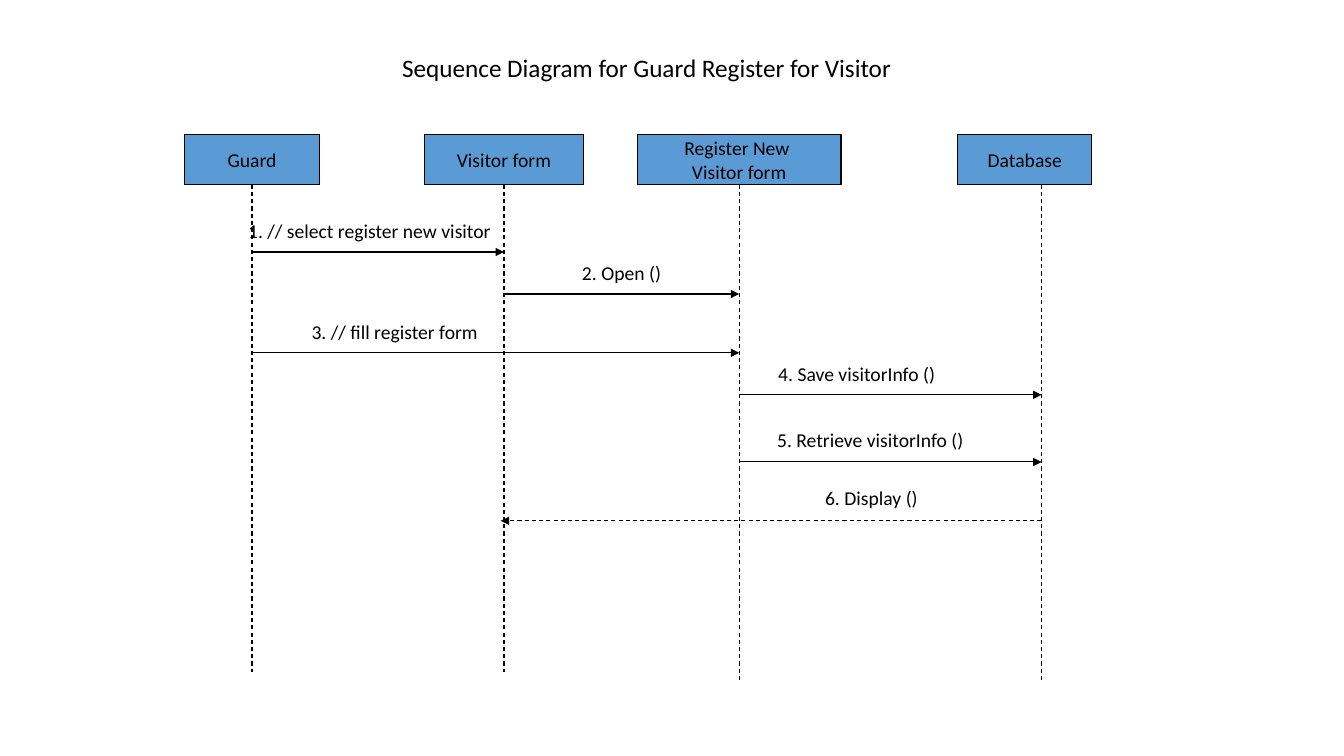
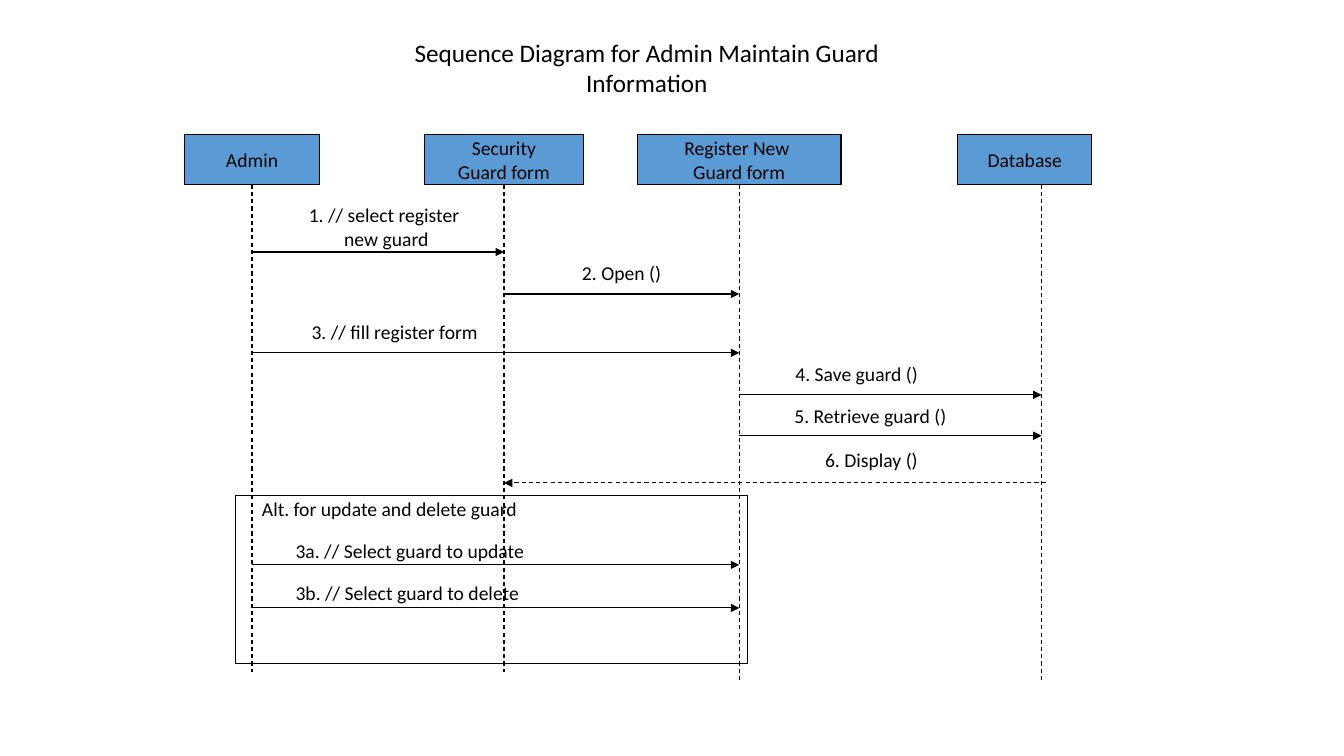
from dataclasses import dataclass

from lxml.etree import SubElement
from pptx import Presentation
from pptx.dml.color import RGBColor
from pptx.enum.dml import MSO_LINE
from pptx.enum.shapes import MSO_CONNECTOR, MSO_SHAPE
from pptx.enum.text import MSO_ANCHOR, MSO_AUTO_SIZE, PP_ALIGN
from pptx.oxml.ns import qn
from pptx.util import Emu, Pt

COLORS = {"paper": "FFFFFF", "ink": "000000", "head": "5B9BD5"}
FONT = "Calibri"
HEAD_TOP, HEAD_H, LABEL_W, LABEL_H = 128, 48, 192, 24
ACTOR, FORM, REGISTER, DATABASE = 240, 480, 704, 992


@dataclass(frozen=True)
class Lifeline:
    x: int
    left: int
    width: int
    bottom: int


@dataclass(frozen=True)
class Message:
    text: str
    start: int
    end: int
    y: int
    left: int
    top: int
    width: int = LABEL_W
    dashed: bool = False
    boxed: bool = True


@dataclass(frozen=True)
class Diagram:
    title: str
    heads: tuple[str, ...]
    messages: tuple[Message, ...]
    alternative: str = ""
    branches: tuple[Message, ...] = ()


LIFELINES = (
    Lifeline(ACTOR, 176, 128, 640),
    Lifeline(FORM, 404, 152, 640),
    Lifeline(REGISTER, 607, 194, 648),
    Lifeline(DATABASE, 912, 128, 648),
)
OPENING = (
    Message("2. Open ()", FORM, REGISTER, 280, 496, 248),
    Message("3. // fill register form", ACTOR, REGISTER, 336, 280, 304),
)
DIAGRAMS = (
    Diagram(
        "Sequence Diagram for Guard Register for Visitor",
        ("Guard", "Visitor form", "Register New \nVisitor form", "Database"),
        (
            Message("1. // select register new visitor", ACTOR, FORM, 240, 256, 208),
            *OPENING,
            Message("4. Save visitorInfo ()", REGISTER, DATABASE, 376, 720, 344),
            Message("5. Retrieve visitorInfo ()", REGISTER, DATABASE, 440, 733, 407),
            Message("6. Display ()", DATABASE, 477, 496, 734, 462, dashed=True),
        ),
    ),
    Diagram(
        "Sequence Diagram for Admin Maintain Guard Information",
        ("Admin", "Security\nGuard form", "Register New \nGuard form", "Database"),
        (
            Message("1. // select register \nnew guard", ACTOR, FORM, 240, 311, 204, 114),
            *OPENING,
            Message("4. Save guard ()", REGISTER, DATABASE, 376, 720, 344),
            Message("5. Retrieve guard ()", REGISTER, DATABASE, 415, 733, 384),
            Message("6. Display ()", 996, FORM, 460, 734, 426, dashed=True),
        ),
        "Alt. for update and delete guard",
        (
            Message("3a. // Select guard to update", ACTOR, REGISTER, 538, 272, 512, 304, boxed=False),
            Message("3b. // Select guard to delete", ACTOR, REGISTER, 579, 272, 552, 304, boxed=False),
        ),
    ),
)


def px(n: int) -> Emu:
    """Convert whole pixels to EMU."""
    return Emu(n * 9525)


def rgb(name: str) -> RGBColor:
    """Look up a named colour."""
    return RGBColor.from_string(COLORS[name])


def write(sp, text: str, *, size: int = 14, align=PP_ALIGN.CENTER, wrap: bool = False) -> None:
    """Set the text of a shape, one paragraph per line."""
    tf = sp.text_frame
    tf.text = text
    tf.word_wrap = wrap
    tf.auto_size = MSO_AUTO_SIZE.NONE
    tf.vertical_anchor = MSO_ANCHOR.MIDDLE
    for p in tf.paragraphs:
        p.alignment = align
        for r in p.runs:
            r.font.name = FONT
            r.font.size = Pt(size)
            r.font.color.rgb = rgb("ink")


def add_rect(s, x: int, y: int, w: int, h: int, fill: str = "", line: str = "ink"):
    """Draw a rectangle, hollow unless a fill is named."""
    sp = s.shapes.add_shape(MSO_SHAPE.RECTANGLE, px(x), px(y), px(w), px(h))
    sp.shadow.inherit = False
    if fill:
        sp.fill.solid()
        sp.fill.fore_color.rgb = rgb(fill)
    else:
        sp.fill.background()
    sp.line.color.rgb = rgb(line)
    sp.line.width = Pt(0.75)
    return sp


def add_line(s, x1: int, y1: int, x2: int, y2: int, dashed: bool = False, arrow: bool = False):
    """Draw a thin straight connector."""
    c = s.shapes.add_connector(MSO_CONNECTOR.STRAIGHT, px(x1), px(y1), px(x2), px(y2))
    c.line.color.rgb = rgb("ink")
    c.line.width = Pt(0.75)
    if dashed:
        c.line.dash_style = MSO_LINE.DASH
    props = c.element.spPr
    if arrow:
        SubElement(props.find(qn("a:ln")), qn("a:tailEnd"), type="triangle")
    SubElement(props, qn("a:effectLst"))
    return c


def add_note(s, text: str, x: int, y: int, w: int) -> None:
    """Place left-aligned text without a box."""
    sp = s.shapes.add_textbox(px(x), px(y), px(w), px(LABEL_H))
    write(sp, text, align=PP_ALIGN.LEFT, wrap=True)


def add_title(s, text: str) -> None:
    """Fill and place the title placeholder."""
    sp = s.shapes.title
    sp.left, sp.top, sp.width, sp.height = px(352), px(32), px(528), px(64)
    write(sp, text, size=18)


def add_lifeline(s, life: Lifeline, text: str) -> None:
    """Draw a head and the dashed line below it."""
    head = add_rect(s, life.left, HEAD_TOP, life.width, HEAD_H, "head")
    write(head, text)
    c = add_line(s, life.x, HEAD_TOP + HEAD_H, life.x, life.bottom, dashed=True)
    if life.left + life.width // 2 == life.x:
        c.begin_connect(head, 2)


def add_message(s, m: Message) -> None:
    """Draw a message arrow with its label."""
    add_line(s, m.start, m.y, m.end, m.y, m.dashed, arrow=True)
    if m.boxed:
        write(add_rect(s, m.left, m.top, m.width, LABEL_H, "paper", "paper"), m.text)
    else:
        add_note(s, m.text, m.left, m.top, m.width)


def add_diagram(prs, d: Diagram) -> None:
    """Build one sequence diagram slide."""
    s = prs.slides.add_slide(prs.slide_layouts[5])
    add_title(s, d.title)
    for life, text in zip(LIFELINES, d.heads):
        add_lifeline(s, life, text)
    for m in d.messages:
        add_message(s, m)
    if d.alternative:
        add_rect(s, 224, 472, 488, 160)
        add_note(s, d.alternative, 240, 472, 304)
    for m in d.branches:
        add_message(s, m)


def main() -> None:
    """Build and save the presentation."""
    prs = Presentation()
    prs.slide_width, prs.slide_height = px(1280), px(720)
    for d in DIAGRAMS:
        add_diagram(prs, d)
    prs.save("out.pptx")


if __name__ == "__main__":
    main()
